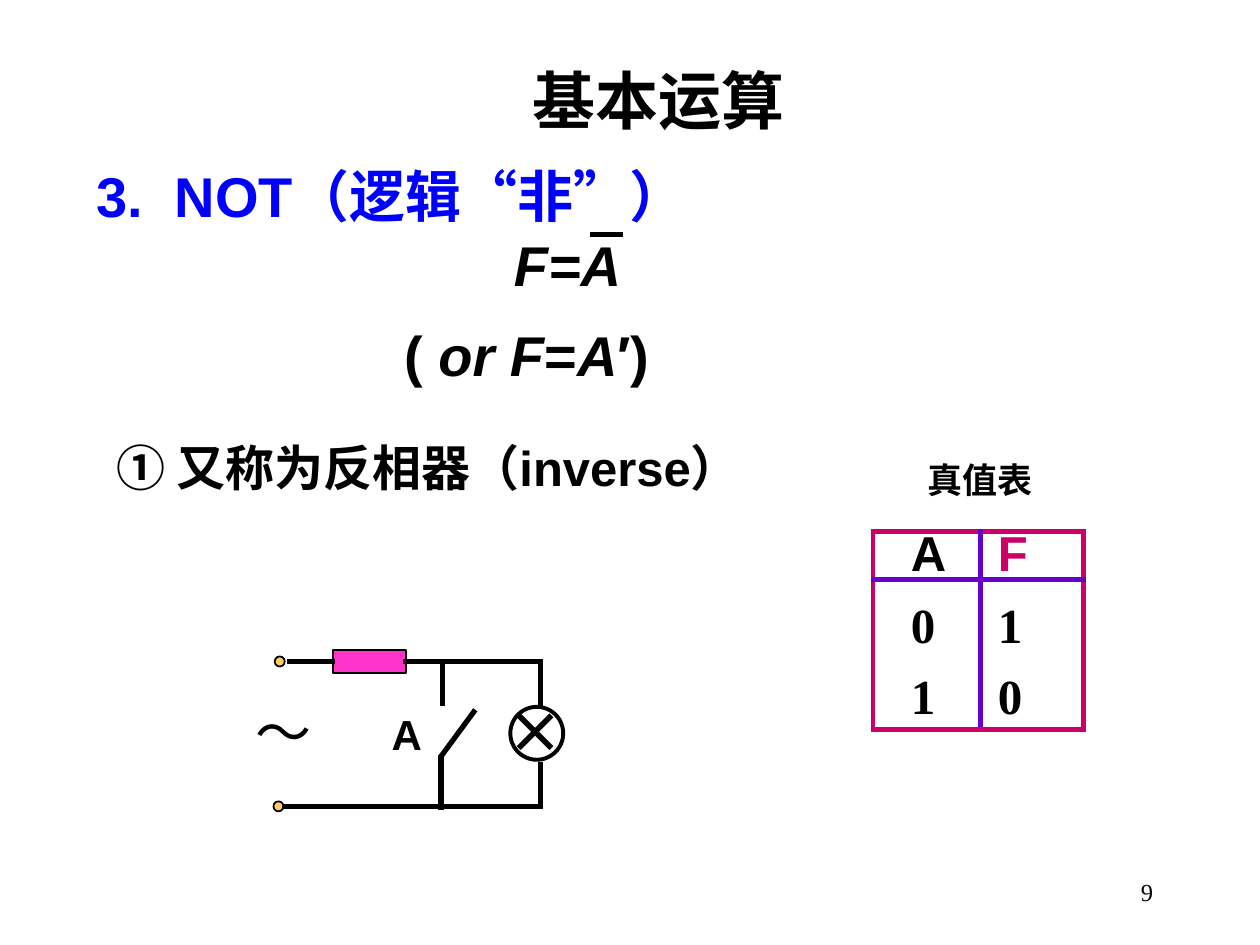
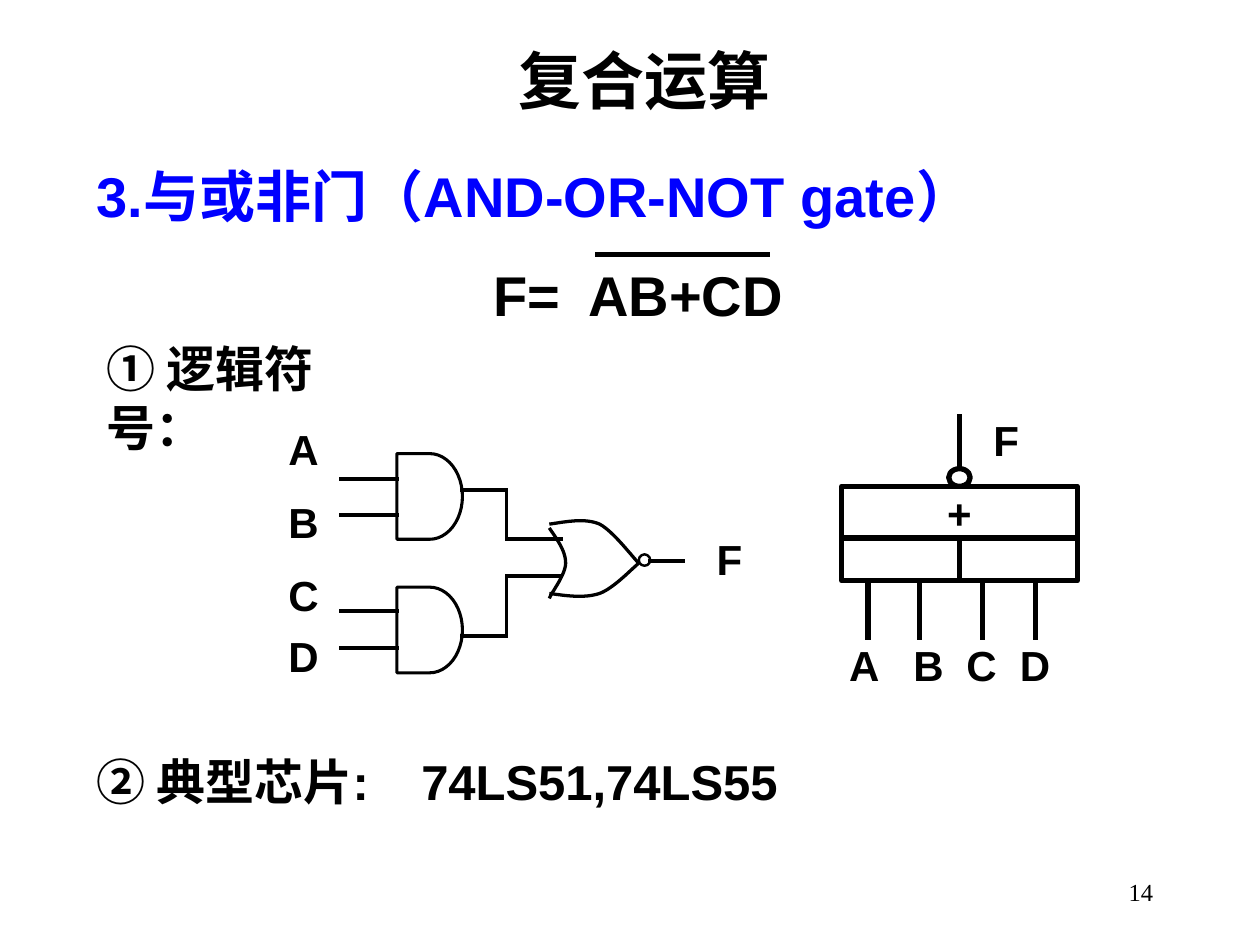
from lxml.etree import SubElement
from pptx import Presentation
from pptx.dml.color import RGBColor
from pptx.enum.shapes import MSO_CONNECTOR, MSO_SHAPE
from pptx.enum.text import MSO_ANCHOR, PP_ALIGN
from pptx.oxml.ns import qn
from pptx.util import Inches, Pt

COLORS = {
    "ink": "000000",
    "paper": "FFFFFF",
    "heading": "0000FF",
    "terminal": "FFCC66",
    "resistor": "FF33CC",
    "frame": "CC0066",
    "divider": "6600CC",
}
LATIN, CHINESE, SERIF = "Arial", "Noto Sans CJK SC", "Times New Roman"

presentation = Presentation()
presentation.slide_width = Inches(10)
presentation.slide_height = Inches(7.5)
cell = presentation.slide_width // 100


def write_text(frame, runs, size, color="ink", font=LATIN, bold=True,
               align=PP_ALIGN.LEFT, anchor=MSO_ANCHOR.TOP, tab=None):
    frame.word_wrap = True
    frame.vertical_anchor = anchor
    paragraph = frame.paragraphs[0]
    paragraph.alignment = align
    properties = paragraph._p.get_or_add_pPr()
    if tab:
        tabs = SubElement(properties, qn("a:tabLst"))
        SubElement(tabs, qn("a:tab"), pos=str(round(tab * cell)), algn="l")
    paragraph.font.size = Pt(size)
    paragraph.font.bold = bold
    paragraph.font.name = font
    paragraph.font.color.rgb = RGBColor.from_string(COLORS[color])
    SubElement(properties.find(qn("a:defRPr")), qn("a:ea"), typeface=CHINESE)
    for text, style in [(runs, {})] if isinstance(runs, str) else runs:
        run = paragraph.add_run()
        run.text = text
        for name, value in style.items():
            setattr(run.font, name, value)
    return paragraph


def add_line(slide, ends, width=3):
    line = slide.shapes.add_connector(
        MSO_CONNECTOR.STRAIGHT, *(round(cell * value) for value in ends))
    line.line.color.rgb = RGBColor.from_string(COLORS["ink"])
    line.line.width = Pt(width)
    line._element.spPr.find(qn("a:ln")).set("cap", "sq")
    SubElement(line._element.spPr, qn("a:effectLst"))
    return line


slides = []
for title, title_box, number in [
    ("基本运算", (15.6, 4.4, 73.4, 7), "9"),
    ("复合运算", (10.6, 2.8, 81.1, 7), "14"),
]:
    slide = presentation.slides.add_slide(presentation.slide_layouts[5])
    placeholder = slide.shapes.title
    placeholder.left, placeholder.top, placeholder.width, placeholder.height = (
        round(cell * value) for value in title_box)
    write_text(placeholder.text_frame, title, 36, align=PP_ALIGN.CENTER)
    number_box = slide.shapes.add_textbox(
        *(round(cell * value) for value in (71.7, 68.3, 20.8, 5)))
    write_text(number_box.text_frame, number, 14, font=SERIF, bold=False,
               align=PP_ALIGN.RIGHT, anchor=MSO_ANCHOR.MIDDLE)
    slides.append(slide)
not_slide, compound_slide = slides

shapes = {}
for slide, name, kind, box, fill, width in [
    (not_slide, "lamp", MSO_SHAPE.OVAL, (40.5, 56.1, 4.2, 4.2), None, 2.25),
    (not_slide, "upper terminal", MSO_SHAPE.OVAL, (21.8, 52.1, 0.8, 0.8), "terminal", 1),
    (not_slide, "lower terminal", MSO_SHAPE.OVAL, (21.7, 63.6, 0.8, 0.8), "terminal", 1),
    (not_slide, "resistor", MSO_SHAPE.RECTANGLE, (26.4, 51.6, 5.8, 1.8), "resistor", 1),
    (compound_slide, "upper gate", MSO_SHAPE.FLOWCHART_DELAY, (31.5, 36, 5.2, 6.8), None, 1.75),
    (compound_slide, "lower gate", MSO_SHAPE.FLOWCHART_DELAY, (31.5, 46.6, 5.2, 6.8), None, 1.75),
    (compound_slide, "gate bubble", MSO_SHAPE.OVAL, (50.7, 44, 0.9, 0.9), None, 1.4),
    (compound_slide, "sum box", MSO_SHAPE.RECTANGLE, (66.8, 38.6, 18.7, 4.1), None, 3),
    (compound_slide, "left box", MSO_SHAPE.RECTANGLE, (66.8, 42.7, 9.35, 3.4), None, 3),
    (compound_slide, "right box", MSO_SHAPE.RECTANGLE, (76.15, 42.7, 9.35, 3.4), None, 3),
    (compound_slide, "box bubble", MSO_SHAPE.OVAL, (75.3, 37.2, 1.7, 1.4), None, 3),
]:
    shape = slide.shapes.add_shape(kind, *(round(cell * value) for value in box))
    shape.shadow.inherit = False
    if fill:
        shape.fill.solid()
        shape.fill.fore_color.rgb = RGBColor.from_string(COLORS[fill])
    else:
        shape.fill.background()
    shape.line.color.rgb = RGBColor.from_string(COLORS["ink"])
    shape.line.width = Pt(width)
    shapes[name] = shape
write_text(shapes["sum box"].text_frame, "+", 24,
           align=PP_ALIGN.CENTER, anchor=MSO_ANCHOR.MIDDLE)

italic = {"italic": True}
for slide, box, runs, size, style in [
    (not_slide, (6.7, 12.3, 52, 6.4), "3.\tNOT（逻辑“非”）", 32,
     {"color": "heading", "tab": 6.2}),
    (not_slide, (39.8, 17.8, 12.5, 6.4), [("F=A", italic)], 32, {}),
    (not_slide, (31.1, 24.95, 26, 6.4),
     [("( ", {}), ("or F", italic), ("=", {}), ("A", italic), ("′)", {})], 32, {}),
    (not_slide, (8.3, 34.2, 76.4, 5.7),
     [("① 又称为", {"name": CHINESE}), ("反相器（inverse）", {})], 28, {}),
    (not_slide, (68.5, 35.9, 18.5, 4.4), "真值表", 20, {"align": PP_ALIGN.CENTER}),
    (not_slide, (39.3, 54.9, 8.3, 6.4), "×", 32, {"font": CHINESE}),
    (not_slide, (19.3, 54.9, 5.8, 6.4), "～", 32, {"font": SERIF, "bold": False}),
    (not_slide, (30.1, 55.75, 5, 5), "A", 24, {}),
    (compound_slide, (6.7, 12.3, 89, 6.4), "3.与或非门（AND-OR-NOT gate）", 32,
     {"color": "heading"}),
    (compound_slide, (38.2, 20.2, 10.1, 6.4), "F=", 32, {}),
    (compound_slide, (45.7, 20.2, 17.6, 6.4), "AB+CD", 32, {}),
    (compound_slide, (7.5, 26.35, 20, 10.5),
     [("① ", {"name": CHINESE}), ("逻辑符号：", {})], 28, {}),
    (compound_slide, (6.7, 59.15, 65.4, 5.7), "② 典型芯片:\t74LS51,74LS55", 28,
     {"tab": 25.75}),
    (compound_slide, (55.9, 41.85, 7, 5), "F", 24, {}),
    (compound_slide, (77.85, 32.4, 10.2, 5), "F", 24, {}),
]:
    text_box = slide.shapes.add_textbox(*(round(cell * value) for value in box))
    write_text(text_box.text_frame, runs, size, **style)

for letter, gate_top, pin_center in [
    ("A", 33.15, 68.6), ("B", 38.9, 73.7), ("C", 44.7, 77.9), ("D", 49.55, 82.15),
]:
    for left, top, align in [
        (21.9, gate_top, PP_ALIGN.LEFT), (pin_center - 2.5, 50.3, PP_ALIGN.CENTER),
    ]:
        label = compound_slide.shapes.add_textbox(
            *(round(cell * value) for value in (left, top, 5, 5)))
        write_text(label.text_frame, letter, 24, align=align)

for ends in [
    (47, 18.6, 49.2, 18.6),
    (42.9, 52.7, 42.9, 55.8),
    (42.9, 60.7, 42.9, 64),
    (42.6, 64, 22.6, 64),
    (35.1, 52.5, 35.1, 55.8),
    (35, 60.1, 35, 64.1),
    (35.1, 59.9, 37.6, 56.5),
]:
    add_line(not_slide, ends)
add_line(not_slide, (32.2, 52.5, 42.9, 52.5)).begin_connect(shapes["resistor"], 3)
add_line(not_slide, (23, 52.5, 26.4, 52.5)).end_connect(shapes["resistor"], 1)

add_line(compound_slide, (47.4, 20.2, 60.9, 20.2))
for pin in (68.9, 73, 78, 82.2):
    add_line(compound_slide, (pin, 46.5, pin, 50.6))
add_line(compound_slide, (76.15, 37.2, 76.15, 33.1)).begin_connect(shapes["box bubble"], 0)
for input_row in (38, 40.9, 48.5, 51.4):
    add_line(compound_slide, (27.1, input_row, 31.5, input_row), 2.25)
for output_row, joint_row in ((38.9, 42.8), (50.5, 45.7)):
    for ends in [
        (36.7, output_row, 40.2, output_row),
        (40.2, output_row, 40.2, joint_row),
        (40.2, joint_row, 44.5, joint_row),
    ]:
        add_line(compound_slide, ends, 2.25)
add_line(compound_slide, (51.6, 44.5, 54.2, 44.5), 2.25)

STEPS = 16
for curves in [
    [((43.6, 41.6), (45, 41.4), (46.4, 41.1), (47.6, 41.6)),
     ((47.6, 41.6), (48.7, 42.2), (50.2, 44.2), (50.7, 44.7))],
    [((43.6, 47.1), (45, 47.3), (46.4, 47.5), (47.6, 47.1)),
     ((47.6, 47.1), (48.7, 46.7), (50.2, 45.1), (50.7, 44.7))],
    [((43.6, 41.9), (44.2, 42.8), (44.9, 43.7), (44.9, 44.7)),
     ((44.9, 44.7), (44.9, 45.6), (43.8, 47), (43.6, 47.5))],
]:
    points = []
    for curve in curves:
        for step in range(STEPS + 1):
            t = step / STEPS
            weights = ((1 - t) ** 3, 3 * t * (1 - t) ** 2, 3 * t * t * (1 - t), t ** 3)
            points.append(tuple(
                cell * sum(weight * point[axis] for weight, point in zip(weights, curve))
                for axis in (0, 1)))
    builder = compound_slide.shapes.build_freeform(*points[0])
    builder.add_line_segments(points[1:], close=False)
    outline = builder.convert_to_shape()
    outline.shadow.inherit = False
    outline.fill.background()
    outline.line.color.rgb = RGBColor.from_string(COLORS["ink"])
    outline.line.width = Pt(1.87)

truth_values = [("A", "F"), ("0", "1"), ("1", "0")]
truth_table = not_slide.shapes.add_table(
    3, 2, *(round(cell * value) for value in (69.3, 42.2, 16.7, 15.7))).table
truth_table.first_row = truth_table.horz_banding = False
for column, width in zip(truth_table.columns, (8.5, 8.2)):
    column.width = round(cell * width)
for row, height in zip(truth_table.rows, (3.8, 5.9, 6)):
    row.height = round(cell * height)
for row_index, values in enumerate(truth_values):
    for column_index, value in enumerate(values):
        table_cell = truth_table.cell(row_index, column_index)
        borders = {
            "L": "divider" if column_index else "frame",
            "R": "frame" if column_index else "divider",
            "T": ("frame", "divider", None)[row_index],
            "B": ("divider", None, "frame")[row_index],
        }
        for side, color in borders.items():
            border = SubElement(table_cell._tc.get_or_add_tcPr(),
                                qn(f"a:ln{side}"), w=str(Pt(3)))
            if color:
                fill = SubElement(border, qn("a:solidFill"))
                SubElement(fill, qn("a:srgbClr"), val=COLORS[color])
            else:
                SubElement(border, qn("a:noFill"))
        table_cell.fill.solid()
        table_cell.fill.fore_color.rgb = RGBColor.from_string(COLORS["paper"])
        table_cell.margin_top = table_cell.margin_right = 0
        table_cell.margin_bottom = round(cell * (0, 0, 0.35)[row_index])
        table_cell.margin_left = round(cell * (3, 1.4)[column_index])
        paragraph = write_text(table_cell.text_frame, value, 28,
                               color="frame" if value == "F" else "ink",
                               font=SERIF if row_index else LATIN)
        paragraph.line_spacing = 1 if row_index else 0.7
        table_cell.vertical_anchor = MSO_ANCHOR.BOTTOM

presentation.save("out.pptx")
